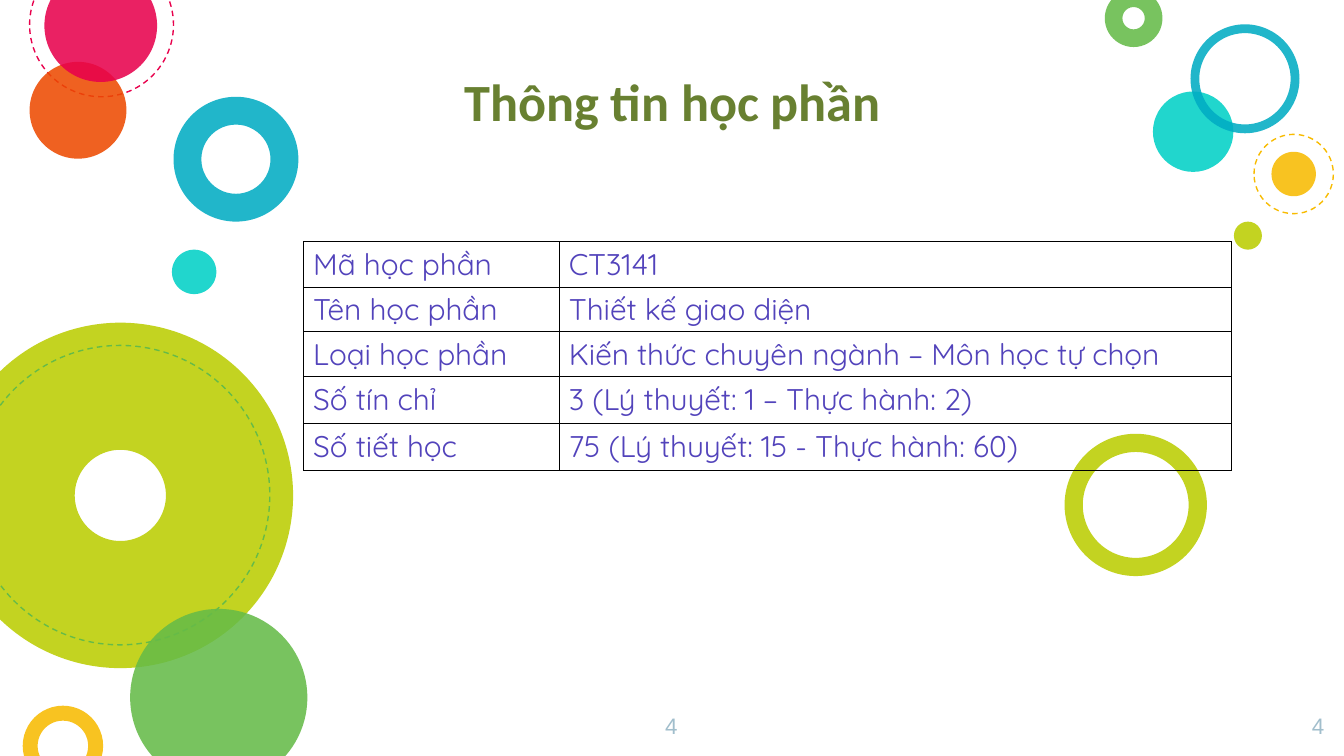
from lxml import etree
from pptx import Presentation
from pptx import util as u
from pptx.dml import color
from pptx.enum import dml, shapes, text
from pptx.oxml import ns

LIME, GREEN, TEAL, AQUA = "BBCD00", "65BB48", "00ACC3", "00D1C6"
PINK, ORANGE, GOLD = "E8004C", "ED4A00", "F8BB00"
OLIVE, VIOLET, GREY, BLACK = "688031", "5243BB", "A1BECC", "000000"

RINGS = [
    ("donut", -0.99, 6.1, 6.53, LIME, 0.368),
    ("dash", 0.56, -0.89, 2.72, PINK, None),
    ("disc", 0.56, 1.17, 1.83, ORANGE, None),
    ("donut", 3.28, 1.83, 2.36, TEAL, 0.223),
    ("disc", 2.46, 11.51, 3.35, GREEN, None),
    ("donut", 0.43, 13.34, 1.52, GOLD, 0.186),
    ("disc", 3.25, 4.72, 0.84, AQUA, None),
    ("disc", 21.79, 1.73, 1.52, AQUA, None),
    ("donut", 20.88, -0.2, 1.09, GREEN, 0.306),
    ("disc", 24.03, 2.87, 0.84, GOLD, None),
    ("donut", 22.5, 0.46, 2.06, TEAL, 0.081),
    ("disc", 23.32, 4.19, 0.53, LIME, None),
    ("dash", -0.56, 6.53, 5.66, GREEN, None),
    ("disc", 0.84, -0.58, 2.13, PINK, None),
    ("dash", 23.7, 2.54, 1.5, GOLD, None),
    ("donut", 20.12, 8.2, 2.69, LIME, 0.128),
]

COURSE = [
    ("Mã học phần", "CT3141"),
    ("Tên học phần", "Thiết kế giao diện"),
    ("Loại học phần", "Kiến thức chuyên ngành – Môn học tự chọn"),
    ("Số tín chỉ", "3 (Lý thuyết: 1 – Thực hành: 2)"),
    ("Số tiết học", "75 (Lý thuyết: 15 - Thực hành: 60)"),
]


def rgb(code):
    return color.RGBColor.from_string(code)


class Deck:
    """Holds the style and the current slide, and draws each kind of element."""

    def __init__(self, wide, high):
        self.pres = Presentation()
        self.pres.slide_width, self.pres.slide_height = u.Cm(wide), u.Cm(high)
        self.slide = self.pres.slides.add_slide(self.pres.slide_layouts[6])
        self.alpha = 87
        self.edge = 0.75

    def ring(self, kind, left, top, size, tint, hole):
        form = shapes.MSO_SHAPE.DONUT if kind == "donut" else shapes.MSO_SHAPE.OVAL
        ring = self.slide.shapes.add_shape(form, u.Cm(left), u.Cm(top), u.Cm(size), u.Cm(size))
        ring.shadow.inherit = False
        if hole:
            ring.adjustments[0] = hole
        if kind == "dash":
            ring.fill.background()
            ring.line.color.rgb = rgb(tint)
            ring.line.width = u.Pt(self.edge)
            ring.line.dash_style = dml.MSO_LINE.DASH
            return
        ring.line.fill.background()
        ring.fill.solid()
        ring.fill.fore_color.rgb = rgb(tint)
        tone = ring.fill._xPr.find(ns.qn("a:solidFill"))[0]
        etree.SubElement(tone, ns.qn("a:alpha"), val=str(self.alpha * 1000))

    def run(self, para, words, size, font, tint, bold=False):
        run = para.add_run()
        run.text = words
        run.font.size, run.font.name, run.font.bold = u.Pt(size), font, bold
        run.font.color.rgb = rgb(tint)

    def label(self, left, top, wide, high, words, size, font, tint, align, anchor="TOP", bold=False):
        box = self.slide.shapes.add_textbox(u.Cm(left), u.Cm(top), u.Cm(wide), u.Cm(high))
        frame = box.text_frame
        frame.word_wrap = True
        frame.vertical_anchor = text.MSO_ANCHOR[anchor]
        frame.margin_left = frame.margin_right = u.Cm(0.25)
        frame.margin_top = frame.margin_bottom = u.Cm(0.25)
        para = frame.paragraphs[0]
        para.alignment = text.PP_ALIGN[align]
        self.run(para, words, size, font, tint, bold)

    def border(self, cell):
        props = cell._tc.get_or_add_tcPr()
        for side in "LRTB":
            line = etree.SubElement(props, ns.qn("a:ln" + side), w=str(u.Pt(self.edge)))
            fill = etree.SubElement(line, ns.qn("a:solidFill"))
            etree.SubElement(fill, ns.qn("a:srgbClr"), val=BLACK)

    def table(self, left, top, cols, rows, data):
        grid = self.slide.shapes.add_table(
            len(rows), len(cols), u.Cm(left), u.Cm(top), u.Cm(sum(cols)), u.Cm(sum(rows))).table
        grid.first_row = grid.horz_banding = False
        for col, wide in zip(grid.columns, cols):
            col.width = u.Cm(wide)
        for row, high, line in zip(grid.rows, rows, data):
            row.height = u.Cm(high)
            for cell, words in zip(row.cells, line):
                self.border(cell)
                cell.fill.background()
                cell.vertical_anchor = text.MSO_ANCHOR.MIDDLE
                cell.margin_left = cell.margin_right = u.Cm(0.18)
                cell.margin_top = cell.margin_bottom = 0
                para = cell.text_frame.paragraphs[0]
                para.space_before = u.Pt(6)
                self.run(para, words, 16, "Quicksand", VIOLET)


def main():
    deck = Deck(25.4, 14.29)
    for ring in RINGS:
        deck.ring(*ring)
    deck.label(3.63, 0.97, 18.16, 1.78, "Thông tin học phần", 28, "Calibri", OLIVE,
               "CENTER", "BOTTOM", True)
    deck.table(5.74, 4.57, [4.83, 12.7], [0.86, 0.84, 0.84, 0.89, 0.89], COURSE)
    for left, align in ((23.98, "RIGHT"), (12.04, "CENTER")):
        deck.label(left, 13.21, 1.3, 1.09, "4", 12, "Arial", GREY, align)
    deck.pres.save("out.pptx")


if __name__ == "__main__":
    main()
